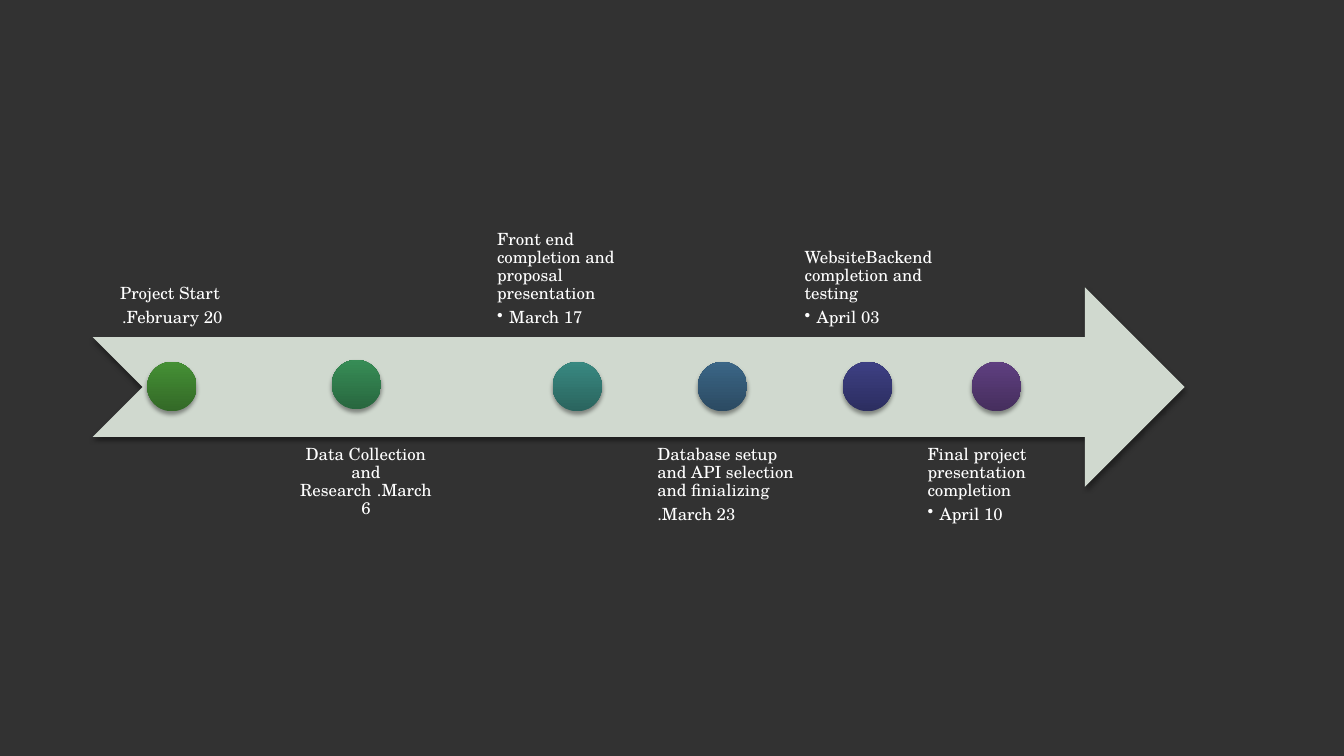
from lxml import etree
from pptx import Presentation
from pptx.dml.color import RGBColor
from pptx.enum.shapes import MSO_SHAPE
from pptx.enum.text import MSO_ANCHOR, PP_ALIGN
from pptx.oxml.ns import qn
from pptx.util import Pt

PX = 9144
ARROW = MSO_SHAPE.NOTCHED_RIGHT_ARROW
OVAL = MSO_SHAPE.OVAL
TOP, BOTTOM = MSO_ANCHOR.TOP, MSO_ANCHOR.BOTTOM
LEFT, CENTER = PP_ALIGN.LEFT, PP_ALIGN.CENTER
FONT = "TeX Gyre Schola"
NBSP = chr(160)
COLORS = {
    "back": "323232",
    "arrow": "D0D9CF",
    "text": "FFFFFF",
    "shadow": "000000",
    "green": ("336927", "459035"),
    "jade": ("28673F", "378D56"),
    "teal": ("2A645E", "398981"),
    "blue": ("2B4A62", "3B6686"),
    "indigo": ("2C2E60", "3D3F83"),
    "purple": ("452E5D", "5F3F80"),
}
DOT, DOT_Y = 49, 359
LABEL_W, LABEL_H = 156, 198
ABOVE, BELOW = 136, 433

# label x, dot x, dot shift, colour, align, bulleted date, lines
STEPS = [
    (93, 146, 0, "green", CENTER, False, ["Project Start ", ".February 20"]),
    (285, 329, -2, "jade", CENTER, False,
     [f"Data Collection and Research{NBSP}.March 6"]),
    (484, 548, 0, "teal", LEFT, True,
     ["Front end completion and proposal presentation", "March 17"]),
    (643, 692, 0, "blue", LEFT, False,
     ["Database setup and API selection and finializing", ".March 23"]),
    (789, 836, 0, "indigo", LEFT, True,
     ["WebsiteBackend completion and testing", "April 03"]),
    (911, 964, 0, "purple", LEFT, True,
     ["Final project presentation completion", "April 10"]),
]


def rgb(code):
    return RGBColor.from_string(code)


def box(*sides):
    return [side * PX for side in sides]


def add_shadow(shape):
    effects = etree.SubElement(shape._element.spPr, qn("a:effectLst"))
    outer = etree.SubElement(effects, qn("a:outerShdw"), blurRad=str(Pt(3)),
                             dist=str(Pt(2)), dir="5400000", rotWithShape="0")
    color = etree.SubElement(outer, qn("a:srgbClr"), val=COLORS["shadow"])
    etree.SubElement(color, qn("a:alpha"), val="38000")


def add_arrow(slide):
    arrow = slide.shapes.add_shape(ARROW, *box(92, 285, 1083, 198))
    arrow.fill.solid()
    arrow.fill.fore_color.rgb = rgb(COLORS["arrow"])
    arrow.line.fill.background()
    add_shadow(arrow)


def add_dot(slide, x, y, shades):
    dot = slide.shapes.add_shape(OVAL, *box(x, y, DOT, DOT))
    dot.fill.gradient()
    dot.fill.gradient_angle = 90
    for stop, shade, place in zip(dot.fill.gradient_stops, shades, (0, 1)):
        stop.color.rgb = rgb(shade)
        stop.position = place
    dot.line.fill.background()
    add_shadow(dot)


def add_bullet(para):
    props = para._p.get_or_add_pPr()
    props.set("marL", str(12 * PX))
    props.set("indent", str(-12 * PX))
    etree.SubElement(props, qn("a:buChar"), char="•")


def add_label(slide, x, y, anchor, align, dated, lines):
    frame = slide.shapes.add_textbox(*box(x, y, LABEL_W, LABEL_H)).text_frame
    frame.word_wrap = True
    frame.vertical_anchor = anchor
    frame.margin_left = frame.margin_right = 9 * PX
    frame.margin_top = frame.margin_bottom = 9 * PX
    for index, line in enumerate(lines):
        para = frame.add_paragraph() if index else frame.paragraphs[0]
        bullet = dated and index > 0
        para.alignment = align
        para.line_spacing = 0.9
        para.space_after = Pt(1.8 if bullet else 4.2)
        if bullet:
            para.level = 1
            add_bullet(para)
        run = para.add_run()
        run.text = line
        run.font.name = FONT
        run.font.size = Pt(12)
        run.font.color.rgb = rgb(COLORS["text"])


def main():
    deck = Presentation()
    deck.slide_width, deck.slide_height = box(1333, 750)
    slide = deck.slides.add_slide(deck.slide_layouts[6])
    slide.background.fill.solid()
    slide.background.fill.fore_color.rgb = rgb(COLORS["back"])
    add_arrow(slide)
    for index, step in enumerate(STEPS):
        left, dot, shift, color, align, dated, lines = step
        y, anchor = (BELOW, TOP) if index % 2 else (ABOVE, BOTTOM)
        add_label(slide, left, y, anchor, align, dated, lines)
        add_dot(slide, dot, DOT_Y + shift, COLORS[color])
    deck.save("out.pptx")


if __name__ == "__main__":
    main()
